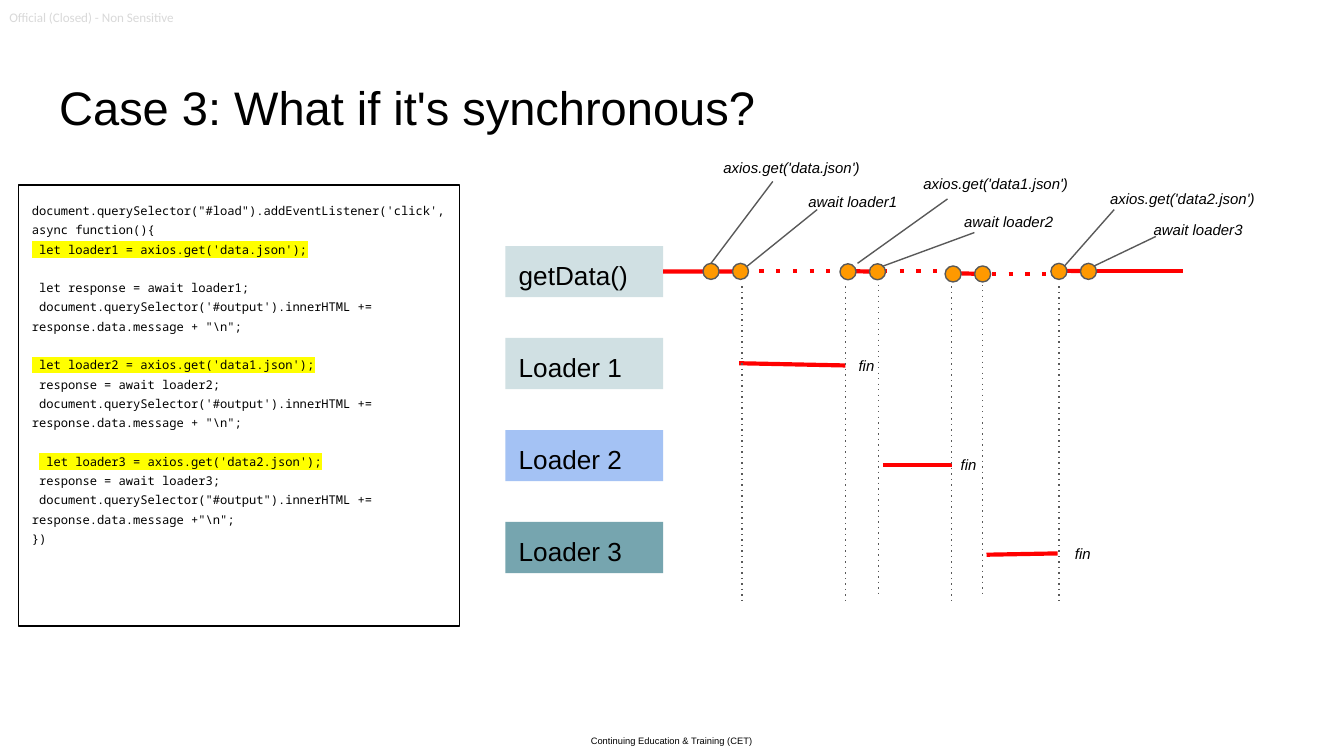
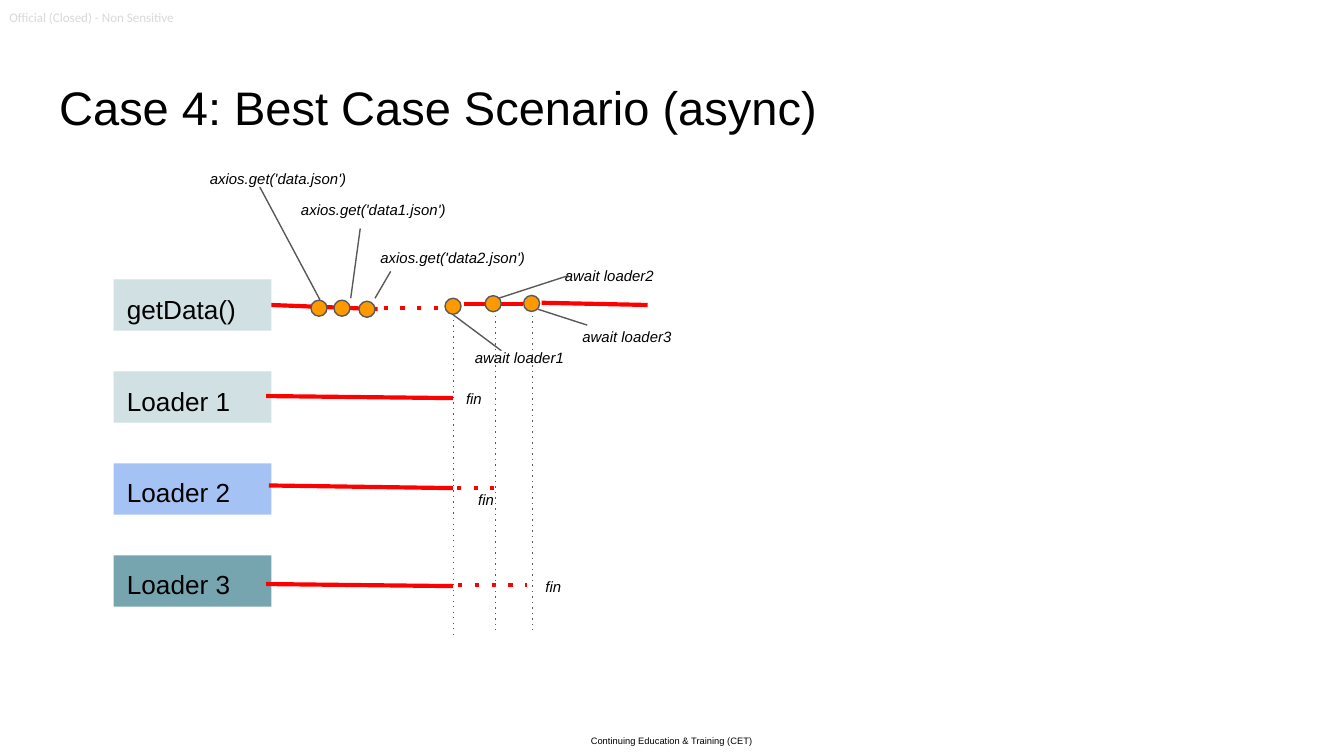
from dataclasses import dataclass

from lxml.etree import SubElement
from pptx import Presentation
from pptx.dml.color import RGBColor
from pptx.enum.shapes import MSO_CONNECTOR as Link, MSO_SHAPE as Preset
from pptx.enum.text import MSO_ANCHOR as Anchor, MSO_AUTO_SIZE as AutoSize, PP_ALIGN as Align
from pptx.oxml.ns import qn
from pptx.util import Pt

BLACK = RGBColor(0x00, 0x00, 0x00)
RED = RGBColor(0xFF, 0x00, 0x00)
ORANGE = RGBColor(0xFF, 0x99, 0x00)
GREY = RGBColor(0x59, 0x59, 0x59)
PALE_GREY = RGBColor(0xD9, 0xD9, 0xD9)
PALE_TEAL = RGBColor(0xD0, 0xE0, 0xE3)
PALE_BLUE = RGBColor(0xA4, 0xC2, 0xF4)
TEAL = RGBColor(0x76, 0xA5, 0xAF)

LANES = [("getData()", PALE_TEAL), ("Loader 1", PALE_TEAL), ("Loader 2", PALE_BLUE), ("Loader 3", TEAL)]
LANE_WIDTH, LANE_HEIGHT, LANE_PITCH = 84.5, 27.4, 49.28
EVENT_SIZE = 8.6
EVENT_PAIR_GAP = 15.8
GUIDE_LENGTH = 168.4
CODE_BLANK_LINE = 10.3
GET_WIDTH, AWAIT_WIDTH, FIN_WIDTH = 95, 67, 51
NOTE_HEIGHT = 23

Point = tuple[float, float]


@dataclass(frozen=True)
class Stretch:
    start: Point
    end: Point
    dotted: bool = False


@dataclass(frozen=True)
class Call:
    text: str
    left: float
    top: float
    start: Point
    end: Point


@dataclass(frozen=True)
class CodeLine:
    text: str
    marked: bool = False
    gap: bool = False
    lead: str = ""


@dataclass(frozen=True)
class Timeline:
    title: str
    lanes_at: Point
    first_end: Point
    stretches: list[Stretch]
    guides: list[Point]
    events: list[Point]
    calls: list[Call]
    fins: list[Point]


CODE = [
    CodeLine("document.querySelector(\"#load\").addEventListener('click',"),
    CodeLine("async function(){"),
    CodeLine(" let loader1 = axios.get('data.json');", marked=True),
    CodeLine(" let response = await loader1;", gap=True),
    CodeLine(r""" document.querySelector('#output').innerHTML += response.data.message + "\n";"""),
    CodeLine(" let loader2 = axios.get('data1.json');", marked=True, gap=True),
    CodeLine(" response = await loader2;"),
    CodeLine(r""" document.querySelector('#output').innerHTML += response.data.message + "\n";"""),
    CodeLine(" let loader3 = axios.get('data2.json');", marked=True, gap=True, lead=" "),
    CodeLine(" response = await loader3;"),
    CodeLine(r""" document.querySelector("#output").innerHTML += response.data.message +"\n";"""),
    CodeLine("})"),
]

SYNCHRONOUS = Timeline(
    title="Case 3: What if it's synchronous?",
    lanes_at=(270.8, 131.8),
    first_end=(401, 145.4),
    stretches=[
        Stretch((406.8, 145.4), (457.2, 145.4), dotted=True),
        Stretch((452.9, 145.2), (474.5, 145.7)),
        Stretch((473, 145.4), (509, 145.4), dotted=True),
        Stretch((509, 146.3), (530.6, 146.9)),
        Stretch((531.4, 146.9), (567.4, 146.9), dotted=True),
        Stretch((566, 145), (587.5, 145.4)),
        Stretch((587.5, 145.4), (633.5, 145.4)),
        Stretch((396, 194.6), (452.9, 195.8)),
        Stretch((473, 249.1), (509.8, 249.1)),
        Stretch((528.5, 297.2), (566.6, 296.5)),
    ],
    guides=[(x, 153.4) for x in (397.5, 452.9, 509.8, 567.4)] + [(x, 149.5) for x in (470.8, 526.3)],
    events=[
        (left + step * EVENT_PAIR_GAP, top)
        for left, top in ((376.6, 141.1), (450, 141.3), (506.3, 142.5), (563, 141.1))
        for step in range(2)
    ],
    calls=[
        Call("axios.get('data.json')", 376.6, 77.8, (414, 97.2), (380.9, 141.1)),
        Call("await loader1", 423.4, 95.8, (437.8, 112.3), (400.3, 142.6)),
        Call("axios.get('data1.json')", 486, 86.4, (507.6, 106.6), (459.4, 141.1)),
        Call("await loader2", 506.9, 106.6, (522, 124.6), (473, 142.6)),
        Call("axios.get('data2.json')", 586, 94.3, (596.9, 112.3), (570.2, 142.6)),
        Call("await loader3", 608.4, 110.9, (619.2, 126.7), (586, 142.6)),
    ],
    fins=[(452.9, 183.6), (507.6, 236.9), (568.8, 284.4)],
)

BEST_CASE = Timeline(
    title="Case 4: Best Case Scenario (async)",
    lanes_at=(60.9, 149.7),
    first_end=(202.3, 165.6),
    stretches=[
        Stretch((196.6, 164.9), (247.7, 164.9), dotted=True),
        Stretch((248.4, 162.7), (259.9, 162.7)),
        Stretch((268.6, 162.7), (280, 162.7)),
        Stretch((290.2, 162.2), (347, 163.4)),
        Stretch((142.6, 212.2), (242.6, 213.3)),
        Stretch((144, 260.1), (242.6, 261.5)),
        Stretch((244.8, 261.3), (264.5, 261.3), dotted=True),
        Stretch((142.6, 312.9), (242.6, 314)),
        Stretch((245.5, 313.3), (282.2, 313.3), dotted=True),
    ],
    guides=[(242.8, 171.4), (265.5, 169.2), (285.2, 169.2)],
    events=[(166.6, 160.8), (178.9, 160.8), (192.3, 161.4), (238.4, 159.8), (259.9, 158.4), (280.5, 158.3)],
    calls=[
        Call("axios.get('data.json')", 101.5, 83.5, (139.2, 100.2), (171.4, 160.6)),
        Call("axios.get('data1.json')", 152.6, 100.1, (193, 122.4), (187.9, 159.8)),
        Call("axios.get('data2.json')", 195.1, 126, (209.3, 145.4), (200.9, 159.8)),
        Call("await loader1", 244.8, 179.3, (268.6, 187.9), (242.6, 168.5)),
        Call("await loader2", 293, 135.4, (304.6, 147.6), (267.1, 159.8)),
        Call("await loader3", 302.4, 168.5, (314.6, 174.2), (288, 165.6)),
    ],
    fins=[(242.6, 201.6), (249.1, 255.6), (285.1, 302.4)],
)


def write(paragraph, text: str, *, size: float, font: str = "Arial", color: RGBColor = BLACK,
          italic: bool = False, align: Align = Align.LEFT, marked: bool = False) -> None:
    paragraph.alignment = align
    run = paragraph.add_run()
    run.text = text
    run.font.size = Pt(size)
    run.font.name = font
    run.font.italic = italic
    run.font.color.rgb = color
    if marked:
        properties = run.font._element
        highlight = SubElement(properties, qn("a:highlight"))
        SubElement(highlight, qn("a:srgbClr"), val="FFFF00")
        properties.find(qn("a:solidFill")).addnext(highlight)


def prepare_frame(shape, inset: float = 7.2):
    frame = shape.text_frame
    frame.word_wrap = True
    frame.auto_size = AutoSize.NONE
    frame.vertical_anchor = Anchor.TOP
    frame.margin_left = frame.margin_right = frame.margin_top = frame.margin_bottom = Pt(inset)
    return frame


def add_note(slide, text: str, left: float, top: float, width: float, height: float,
             inset: float = 7.2, **style) -> None:
    note = slide.shapes.add_textbox(Pt(left), Pt(top), Pt(width), Pt(height))
    write(prepare_frame(note, inset).paragraphs[0], text, **style)


def add_preset(slide, preset: Preset, left: float, top: float, width: float, height: float,
               fill: RGBColor | None = None, outline: RGBColor | None = None):
    shape = slide.shapes.add_shape(preset, Pt(left), Pt(top), Pt(width), Pt(height))
    shape.shadow.inherit = False
    if fill is None:
        shape.fill.background()
    else:
        shape.fill.solid()
        shape.fill.fore_color.rgb = fill
    if outline is None:
        shape.line.fill.background()
    else:
        shape.line.color.rgb = outline
        shape.line.width = Pt(0.75)
    return shape


def add_line(slide, start: Point, end: Point, color: RGBColor = GREY, width: float = 0.75,
             dotted: bool = False):
    line = slide.shapes.add_connector(Link.STRAIGHT, *(Pt(value) for value in (*start, *end)))
    line.line.color.rgb = color
    line.line.width = Pt(width)
    properties = line._element.spPr
    if dotted:
        SubElement(properties.find(qn("a:ln")), qn("a:prstDash"), val="dot")
    SubElement(properties, qn("a:effectLst"))
    return line


def add_titled_slide(deck, title: str):
    slide = deck.slides.add_slide(deck.slide_layouts[5])
    heading = slide.shapes.title
    heading.left, heading.top, heading.width, heading.height = Pt(24.5), Pt(35), Pt(671), Pt(45)
    write(prepare_frame(heading).paragraphs[0], title, size=25.2)
    add_note(slide, "Continuing Education & Training (CET)", 289.4, 390.2, 141.1, 14.8,
             inset=3.5, size=5, align=Align.CENTER)
    add_note(slide, "Official (Closed) - Non Sensitive", 0, 0, 116.6, 16.6,
             inset=5, size=7, font="Calibri", color=PALE_GREY)
    return slide


def add_code(slide) -> None:
    panel = add_preset(slide, Preset.RECTANGLE, 10, 99.2, 236.3, 236.3, outline=BLACK)
    frame = prepare_frame(panel)
    for index, code in enumerate(CODE):
        paragraph = frame.add_paragraph() if index else frame.paragraphs[0]
        paragraph.line_spacing = 1.33
        if code.gap:
            paragraph.space_before = Pt(CODE_BLANK_LINE)
        if code.lead:
            write(paragraph, code.lead, size=6.5, font="Noto Sans Mono")
        write(paragraph, code.text, size=6.5, font="Noto Sans Mono", marked=code.marked)


def add_lanes(slide, left: float, top: float) -> list:
    lanes = []
    for index, (name, fill) in enumerate(LANES):
        lane = add_preset(slide, Preset.RECTANGLE, left, top + index * LANE_PITCH,
                          LANE_WIDTH, LANE_HEIGHT, fill=fill)
        write(prepare_frame(lane).paragraphs[0], name, size=14)
        lanes.append(lane)
    return lanes


def add_timeline(slide, timeline: Timeline) -> None:
    left, top = timeline.lanes_at
    get_data = add_lanes(slide, left, top)[0]
    lane_exit = (left + LANE_WIDTH, top + LANE_HEIGHT / 2)
    add_line(slide, lane_exit, timeline.first_end, RED, 2.25).begin_connect(get_data, 3)
    for stretch in timeline.stretches:
        add_line(slide, stretch.start, stretch.end, RED, 2.25, stretch.dotted)
    for x, y in timeline.guides:
        add_line(slide, (x, y), (x, y + GUIDE_LENGTH), dotted=True)
    for call in timeline.calls:
        add_line(slide, call.start, call.end)
        width = AWAIT_WIDTH if call.text.startswith("await") else GET_WIDTH
        add_note(slide, call.text, call.left, call.top, width, NOTE_HEIGHT,
                 size=8, italic=True, align=Align.CENTER)
    for x, y in timeline.events:
        add_preset(slide, Preset.OVAL, x, y, EVENT_SIZE, EVENT_SIZE, fill=ORANGE, outline=GREY)
    for x, y in timeline.fins:
        add_note(slide, "fin", x, y, FIN_WIDTH, NOTE_HEIGHT, size=8, italic=True)


def main() -> None:
    deck = Presentation()
    deck.slide_width, deck.slide_height = Pt(720), Pt(405)
    synchronous = add_titled_slide(deck, SYNCHRONOUS.title)
    add_code(synchronous)
    add_timeline(synchronous, SYNCHRONOUS)
    add_timeline(add_titled_slide(deck, BEST_CASE.title), BEST_CASE)
    deck.save("out.pptx")


if __name__ == "__main__":
    main()
